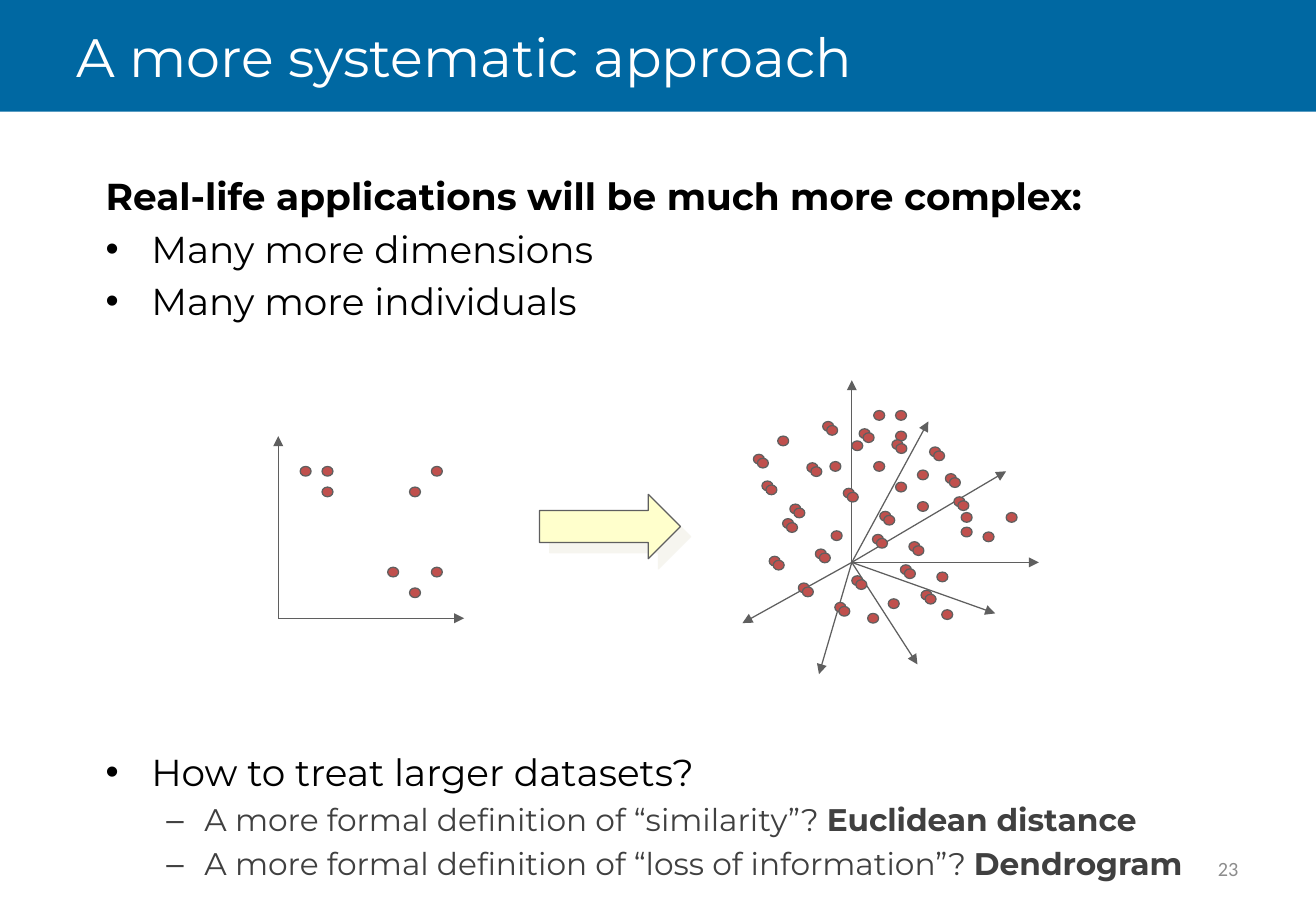
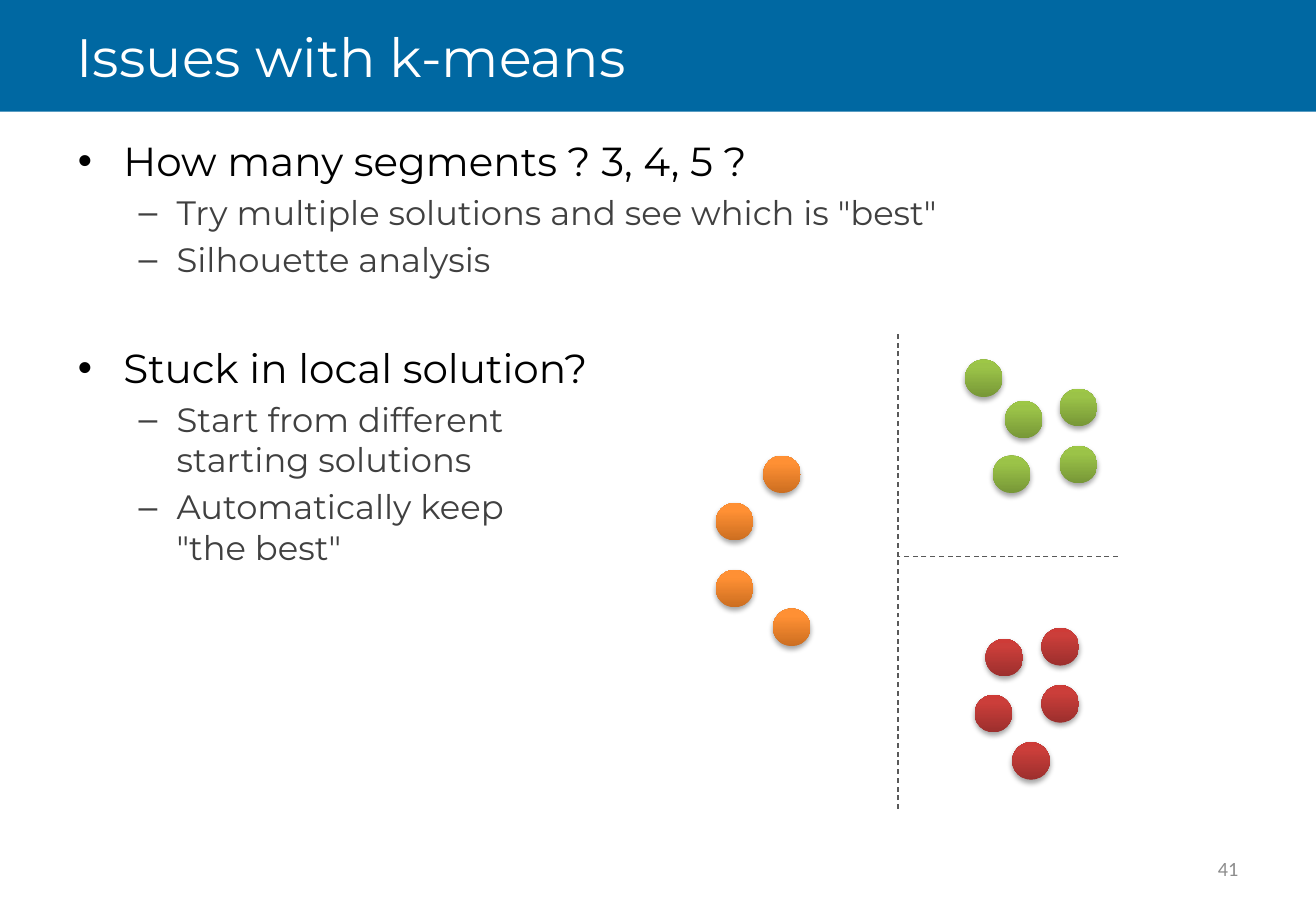
"""Build two slides about cluster analysis: larger datasets and k-means issues."""
from copy import deepcopy

from lxml import etree
from pptx import Presentation
from pptx.dml.color import RGBColor
from pptx.enum.dml import MSO_LINE
from pptx.enum.shapes import MSO_CONNECTOR, MSO_SHAPE
from pptx.enum.text import MSO_ANCHOR, MSO_AUTO_SIZE, PP_ALIGN
from pptx.oxml.ns import qn
from pptx.util import Inches, Pt

RECTANGLE, OVAL, ARROW = MSO_SHAPE.RECTANGLE, MSO_SHAPE.OVAL, MSO_SHAPE.RIGHT_ARROW
STRAIGHT, DASH = MSO_CONNECTOR.STRAIGHT, MSO_LINE.DASH
MIDDLE, TOP = MSO_ANCHOR.MIDDLE, MSO_ANCHOR.TOP
LEFT, RIGHT = PP_ALIGN.LEFT, PP_ALIGN.RIGHT
NO_AUTOFIT = MSO_AUTO_SIZE.NONE

CELL = Inches(0.1)
COLUMNS, ROWS = 108.3, 75
BAND_ROWS = 9.2
DOT_SIZE = (0.9, 0.8)
BALL_SIZE = (3.1, 3.1)
PAIR_OFFSET = 0.33

COLORS = {
    "band": "0068A2", "title": "FFFFFF", "text": "000000", "detail": "404040",
    "number": "8C8C8C", "axis": "5F5F5F", "divider": "595959", "dot": "C0504D",
    "arrow": "FFFFCC", "arrow shadow": "EEECE1", "ball shadow": "000000",
}
GRADIENTS = {
    "orange": ("CC6E20", "FF9034", "FF9136"),
    "green": ("779737", "9BC348", "9DC746"),
    "red": ("9C2F2D", "CB3E3A", "CE3B37"),
}
GRADIENT_POSITIONS = (0, 0.8, 1)

PLANE_AXES = [(22.9, 35.9), (38.2, 50.9)]
PLANE_DOTS = [
    (24.7, 38.4), (26.5, 38.4), (26.5, 40.1), (35.5, 38.4),
    (33.7, 40.1), (33.7, 48.4), (35.5, 46.7), (31.9, 46.7),
]
SPACE_AXES = [
    (70.1, 31.3), (85.5, 46.3), (81.9, 50.5), (75.5, 54.7),
    (67.4, 55.5), (61.1, 51.3), (76.4, 34.7), (82.8, 38.8),
]
SPACE_DOTS = [
    (71.9, 33.8), (73.7, 33.8), (73.7, 35.5), (70.1, 36.3), (68.3, 38),
    (80.9, 43.8), (82.8, 42.2), (79.1, 42.2), (71.9, 38), (73.7, 39.7),
    (75.5, 41.3), (64, 35.9), (77.1, 47.1), (73.1, 49.3), (75.5, 38.7),
    (79.1, 43.4), (68.4, 43.7), (71.4, 50.5), (77.5, 50.2),
]
SPACE_PAIRS = [
    (66.4, 38.1), (69.4, 40.2), (72.4, 42.1), (74.8, 44.6), (64.4, 42.7),
    (67.1, 45.2), (70.1, 47.4), (67.7, 34.7), (70.7, 35.3), (73.4, 36.2),
    (76.5, 36.8), (77.8, 39), (78.5, 40.9), (62, 37.4), (62.7, 39.6),
    (65, 41.5), (63.3, 45.8), (65.7, 48), (68.7, 49.6), (71.8, 44),
    (74.1, 46.5), (75.8, 48.6),
]
BALLS = {
    "orange": [(62.8, 37.5), (58.9, 41.4), (58.9, 46.9), (63.6, 50.1)],
    "green": [(79.4, 29.6), (87.2, 36.7), (82.7, 33), (81.7, 37.5), (87.2, 32)],
    "red": [(83.3, 61.1), (85.7, 56.4), (81.1, 52.6), (80.2, 57.2), (85.7, 51.7)],
}


def rgb(name):
    """Return the named colour."""
    return RGBColor.from_string(COLORS[name])


def cells(*lengths):
    """Convert grid cells to slide units."""
    return [round(length * CELL) for length in lengths]


class Deck:
    """Hold the shared style and the slide being drawn."""

    def __init__(self):
        """Start an empty presentation of the grid's size."""
        self.presentation = Presentation()
        self.presentation.slide_width, self.presentation.slide_height = cells(COLUMNS, ROWS)
        self.slide = None

    def style(self, run, size, color, bold=None, font="Montserrat"):
        """Format one run."""
        run.font.name, run.font.size, run.font.bold = font, Pt(size), bold
        run.font.color.rgb = rgb(color)

    def place(self, shape, left, top, width, height):
        """Move a shape to a place on the grid."""
        shape.left, shape.top, shape.width, shape.height = cells(left, top, width, height)

    def start(self, title, number):
        """Add a slide with band, title and number."""
        self.slide = self.presentation.slides.add_slide(self.presentation.slide_layouts[1])
        band = self.shape(self.slide.shapes, RECTANGLE, (0, 0, COLUMNS, BAND_ROWS), "band")
        heading = self.slide.shapes.title
        heading.element.addprevious(band.element)
        self.place(heading, 5.3, 0, 97.5, BAND_ROWS)
        box = self.slide.shapes.add_textbox(*cells(77.6, 69.5, 25.3, 4))
        for shape, text, alignment in ((heading, title, LEFT), (box, number, RIGHT)):
            frame = shape.text_frame
            frame.text = text
            frame.word_wrap, frame.auto_size = True, NO_AUTOFIT
            frame.vertical_anchor = MIDDLE
            frame.paragraphs[0].alignment = alignment
        self.style(heading.text_frame.paragraphs[0].runs[0], 32, "title")
        self.style(box.text_frame.paragraphs[0].runs[0], 12, "number", font="Calibri")

    def body(self, area, items, sizes, anchor):
        """Fill the body with (level, text, bold ending, gap above) items."""
        body = self.slide.placeholders[1]
        self.place(body, *area)
        frame = body.text_frame
        frame.auto_size, frame.vertical_anchor = NO_AUTOFIT, anchor
        for index, (level, text, ending, gap) in enumerate(items):
            paragraph = frame.add_paragraph() if index else frame.paragraphs[0]
            paragraph.text, paragraph.level = text, level
            if gap:
                paragraph.space_before = Pt(gap)
            color = ("text", "detail")[level]
            for run in paragraph.runs:
                self.style(run, sizes[level], color)
            if ending:
                run = paragraph.add_run()
                run.text = ending
                self.style(run, sizes[level], color, True)
        for line_break in body.element.iter(qn("a:br")):
            line_break.append(deepcopy(line_break.getprevious().find(qn("a:rPr"))))
        return frame

    def lead(self, paragraph):
        """Turn a list item into a bold line without bullet."""
        paragraph.runs[0].font.bold = True
        etree.SubElement(paragraph._p.get_or_add_pPr(), qn("a:buNone"))

    def shape(self, shapes, kind, area, fill=None, line=None):
        """Add a flat preset shape."""
        shape = shapes.add_shape(kind, *cells(*area))
        shape.shadow.inherit = False
        if fill:
            shape.fill.solid()
            shape.fill.fore_color.rgb = rgb(fill)
        if line:
            shape.line.color.rgb, shape.line.width = rgb(line), Pt(0.75)
        else:
            shape.line.fill.background()
        return shape

    def shadow(self, shape, color, opacity, blur, distance, angle):
        """Give a shape an outer shadow."""
        effects = shape.element.spPr.find(qn("a:effectLst"))
        outer = etree.SubElement(
            effects, qn("a:outerShdw"), blurRad=str(Pt(blur)), dist=str(Pt(distance)),
            dir=str(angle * 60000), algn="ctr", rotWithShape="0")
        tint = etree.SubElement(outer, qn("a:srgbClr"), val=COLORS[color])
        etree.SubElement(tint, qn("a:alpha"), val=str(opacity * 1000))

    def line(self, shapes, start, end, color, arrow=False):
        """Add a thin line, solid with an arrowhead or dashed."""
        line = shapes.add_connector(STRAIGHT, *cells(*start, *end))
        line.line.color.rgb, line.line.width = rgb(color), Pt(0.75)
        if arrow:
            etree.SubElement(line.line._get_or_add_ln(), qn("a:tailEnd"), type="triangle")
        else:
            line.line.dash_style = DASH
        etree.SubElement(line.element.spPr, qn("a:effectLst"))

    def scatter(self, origin, axes, dots):
        """Add a group of axes from one origin with dots around it."""
        shapes = self.slide.shapes.add_group_shape().shapes
        for end in axes:
            self.line(shapes, origin, end, "axis", arrow=True)
        for dot in dots:
            self.shape(shapes, OVAL, (*dot, *DOT_SIZE), "dot", "axis")

    def arrow(self, area):
        """Add a block arrow with a hard shadow."""
        arrow = self.shape(self.slide.shapes, ARROW, area, "arrow", "axis")
        self.shadow(arrow, "arrow shadow", 50, 0, 8.5, 45)

    def ball(self, place, gradient):
        """Add a shaded ball."""
        ball = self.shape(self.slide.shapes, OVAL, (*place, *BALL_SIZE))
        ball.fill.gradient()
        ball.fill.gradient_angle = 90
        stops = ball.element.spPr.find(".//" + qn("a:gsLst"))
        stops.append(deepcopy(stops[-1]))
        shades = zip(ball.fill.gradient_stops, GRADIENT_POSITIONS, GRADIENTS[gradient])
        for stop, position, color in shades:
            stop.position = position
            stop.color.rgb = RGBColor.from_string(color)
        self.shadow(ball, "ball shadow", 35, 3.1, 1.8, 90)


def systematic_approach(deck):
    """Draw the slide on larger datasets."""
    deck.start("A more systematic approach", "23")
    frame = deck.body((7.7, 14.2, 93, 58.5), [
        (0, "Real-life applications will be much more complex:", "", 0),
        (0, "Many more dimensions", "", 0),
        (0, "Many more individuals", "", 0),
        (0, "How to treat larger datasets?", "", 252.6),
        (1, "A more formal definition of “similarity”? ", "Euclidean distance", 0),
        (1, "A more formal definition of “loss of information”? ", "Dendrogram", 0),
    ], (22.2, 18.5), MIDDLE)
    deck.lead(frame.paragraphs[0])
    deck.scatter((22.9, 50.9), PLANE_AXES, PLANE_DOTS)
    pairs = [(left + shift, top + shift)
             for left, top in SPACE_PAIRS for shift in (0, PAIR_OFFSET)]
    deck.scatter((70.1, 46.3), SPACE_AXES, SPACE_DOTS + pairs)
    deck.arrow((44.4, 40.7, 11.6, 5.3))


def k_means_issues(deck):
    """Draw the slide on k-means."""
    deck.start("Issues with k-means", "41")
    deck.body((5.4, 10.7, 97.5, 56.3), [
        (0, "How many segments ? 3, 4, 5 ?", "", 0),
        (1, 'Try multiple solutions and see which is "best"', "", 0),
        (1, "Silhouette analysis", "", 0),
        (0, "Stuck in local solution?", "", 37.9),
        (1, "Start from different\nstarting solutions", "", 0),
        (1, 'Automatically keep\n"the best"', "", 0),
    ], (24, 20), TOP)
    for gradient, places in BALLS.items():
        for place in places:
            deck.ball(place, gradient)
    for start, end in (((73.9, 66.6), (73.9, 27.3)), ((92, 45.8), (73.9, 45.8))):
        deck.line(deck.slide.shapes, start, end, "divider")


def main():
    """Build and save the presentation."""
    deck = Deck()
    systematic_approach(deck)
    k_means_issues(deck)
    deck.presentation.save("out.pptx")


if __name__ == "__main__":
    main()
